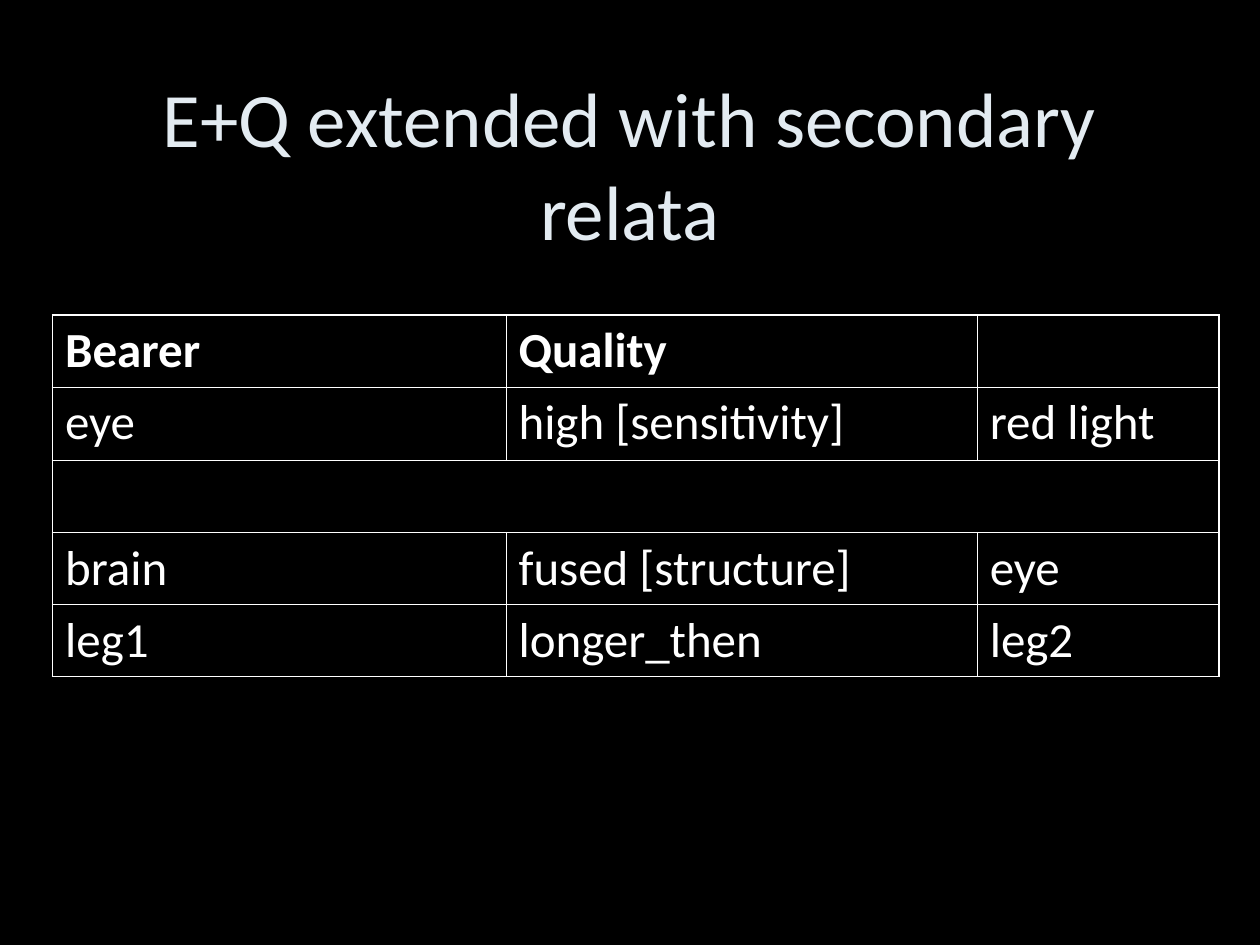
from lxml.etree import SubElement
from pptx import Presentation
from pptx.dml.color import RGBColor
from pptx.enum.text import MSO_ANCHOR as Anchor, PP_ALIGN as Align
from pptx.oxml.ns import qn
from pptx.util import Cm, Pt

BLACK = RGBColor(0x00, 0x00, 0x00)
WHITE = RGBColor(0xFF, 0xFF, 0xFF)
PALE_BLUE = RGBColor(0xE3, 0xEB, 0xF1)
FONT = "Calibri"
OUTER_LINE, INNER_LINE = Pt(1.08), Pt(0.45)

COLUMN_WIDTHS = (9.14, 9.5, 4.87)
ROW_HEIGHTS = (1.45, 1.49, 1.45, 1.45, 1.45)
ROWS = (
    ("Bearer", "Quality", ""),
    ("eye", "high [sensitivity]", "red light"),
    ("", "", ""),
    ("brain", "fused [structure]", "eye"),
    ("leg1", "longer_then", "leg2"),
)


def write(frame, text, size, color, bold=False, align=Align.LEFT):
    para = frame.paragraphs[0]
    para.alignment = align
    span = para.add_run()
    span.text = text
    font = span.font
    font.name, font.size, font.bold = FONT, Pt(size), bold
    font.color.rgb = color


def add_title(page, left, top, width, height):
    box = page.shapes.add_textbox(Cm(left), Cm(top), Cm(width), Cm(height))
    frame = box.text_frame
    frame.word_wrap = True
    frame.vertical_anchor = Anchor.MIDDLE
    write(frame, "E+Q extended with secondary relata", 44, PALE_BLUE,
          align=Align.CENTER)


def draw_borders(cell, outer_sides):
    """Rule all four sides of a cell, thicker on the table's outer edge."""
    properties = cell._tc.get_or_add_tcPr()
    for side in "LRTB":
        width = OUTER_LINE if side in outer_sides else INNER_LINE
        line = SubElement(properties, qn(f"a:ln{side}"), w=str(width))
        fill = SubElement(line, qn("a:solidFill"))
        SubElement(fill, qn("a:srgbClr"), val=str(WHITE))


def add_relata_table(page, left, top):
    table = page.shapes.add_table(
        len(ROWS), len(COLUMN_WIDTHS), Cm(left), Cm(top),
        Cm(sum(COLUMN_WIDTHS)), Cm(sum(ROW_HEIGHTS))).table
    table.horz_banding = False
    for column, width in zip(table.columns, COLUMN_WIDTHS):
        column.width = Cm(width)
    last_row, last_column = len(ROWS) - 1, len(COLUMN_WIDTHS) - 1

    for r, texts in enumerate(ROWS):
        table.rows[r].height = Cm(ROW_HEIGHTS[r])
        if not any(texts):
            table.cell(r, 0).merge(table.cell(r, last_column))
        for c, text in enumerate(texts):
            cell = table.cell(r, c)
            if cell.is_spanned:
                continue
            right_column = c + cell.span_width - 1
            edges = {"L": c == 0, "R": right_column == last_column,
                     "T": r == 0, "B": r == last_row}
            draw_borders(cell, [side for side in edges if edges[side]])
            cell.fill.background()
            if text:
                write(cell.text_frame, text, 28, WHITE, bold=r == 0)


def main():
    deck = Presentation()
    deck.slide_width, deck.slide_height = Cm(25.4), Cm(19.05)
    page = deck.slides.add_slide(deck.slide_layouts[6])
    background = page.background.fill
    background.solid()
    background.fore_color.rgb = BLACK
    add_title(page, 1.9, 1.7, 21.6, 3.18)
    add_relata_table(page, 1.06, 6.35)
    deck.save("out.pptx")


if __name__ == "__main__":
    main()
